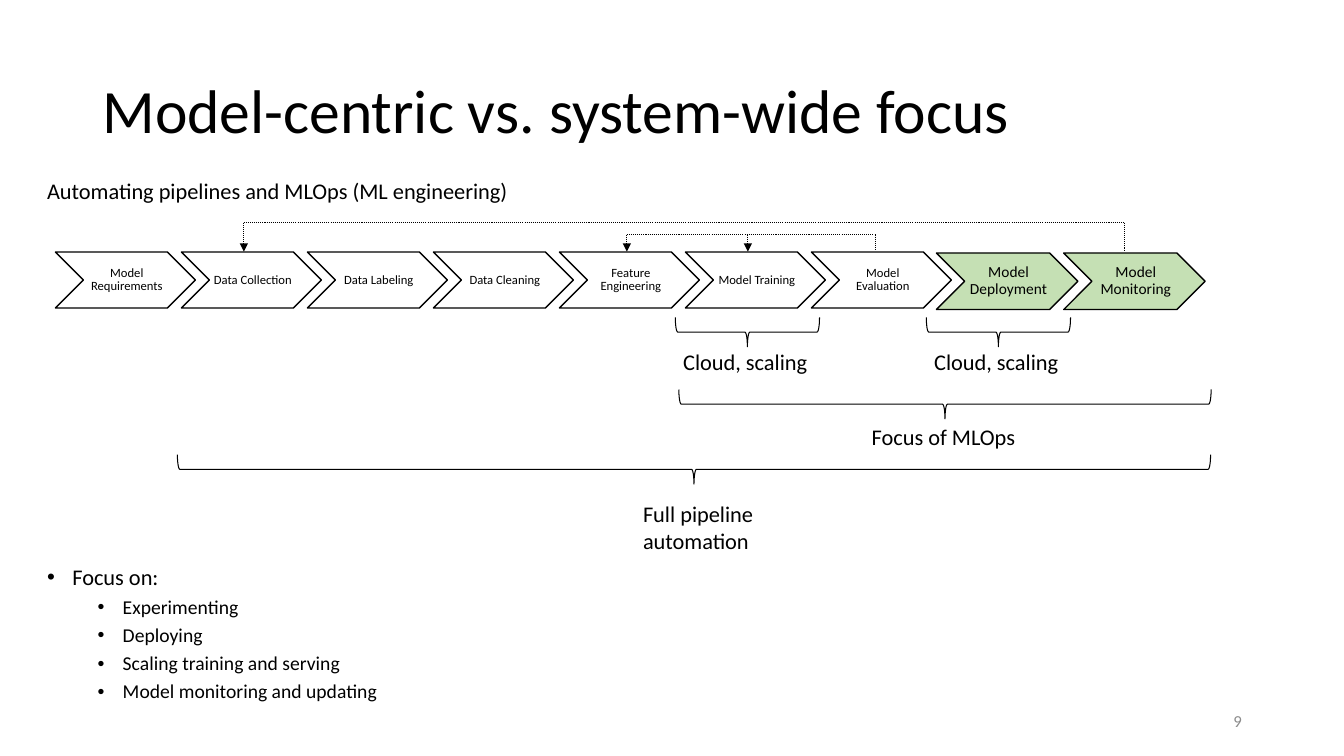
import pptx
import pptx.dml.color
import pptx.enum.dml
import pptx.enum.shapes
import pptx.enum.text
import pptx.oxml.ns
import pptx.util
from lxml import etree

Pt = pptx.util.Pt
RGBColor = pptx.dml.color.RGBColor
SHAPE = pptx.enum.shapes.MSO_SHAPE
ALIGN = pptx.enum.text.PP_ALIGN
ANCHOR = pptx.enum.text.MSO_ANCHOR

BLACK = RGBColor(0x00, 0x00, 0x00)
WHITE = RGBColor(0xFF, 0xFF, 0xFF)
GREEN = RGBColor(0xC5, 0xE0, 0xB4)
GRAY = RGBColor(0x8C, 0x8C, 0x8C)
FONT = "Calibri"

MODEL_STEPS = ["Model Requirements", "Data Collection", "Data Labeling", "Data Cleaning",
               "Feature Engineering", "Model Training", "Model Evaluation"]
SYSTEM_STEPS = ["Model Deployment", "Model Monitoring"]
FOCUS_POINTS = ["Experimenting", "Deploying", "Scaling training and serving",
                "Model monitoring and updating"]
BRACE_DEPTH = 21


def add_xml(parent, tag, **attributes):
    return etree.SubElement(parent, pptx.oxml.ns.qn(tag), attributes)


def format_paragraph(paragraph, size, color=BLACK, align=ALIGN.LEFT, spacing=1.0):
    paragraph.alignment = align
    paragraph.line_spacing = spacing
    for run in paragraph.runs:
        run.font.name = FONT
        run.font.size = Pt(size)
        run.font.color.rgb = color


def set_title(slide, text):
    title = slide.shapes.title
    title.left, title.top, title.width, title.height = Pt(66), Pt(28.8), Pt(828), Pt(104.4)
    title.text_frame.text = text
    title.text_frame.vertical_anchor = ANCHOR.MIDDLE
    format_paragraph(title.text_frame.paragraphs[0], 44, spacing=0.9)


def add_label(slide, text, left, top, width, height=26.6, size=16, color=BLACK, align=ALIGN.LEFT):
    label = slide.shapes.add_textbox(Pt(left), Pt(top), Pt(width), Pt(height))
    label.text_frame.word_wrap = True
    label.text_frame.text = text
    format_paragraph(label.text_frame.paragraphs[0], size, color, align)
    return label


def add_chevrons(slide, steps, left, top, pitch, width, height, fill, size):
    for index, step in enumerate(steps):
        chevron = slide.shapes.add_shape(SHAPE.CHEVRON, Pt(left + index * pitch), Pt(top),
                                         Pt(width), Pt(height))
        chevron.shadow.inherit = False
        chevron.fill.solid()
        chevron.fill.fore_color.rgb = fill
        chevron.line.color.rgb = BLACK
        chevron.line.width = Pt(1)
        frame = chevron.text_frame
        frame.word_wrap = True
        frame.vertical_anchor = ANCHOR.MIDDLE
        frame.margin_left = Pt(3)
        frame.margin_top = frame.margin_right = frame.margin_bottom = Pt(1)
        frame.text = step
        format_paragraph(frame.paragraphs[0], size, align=ALIGN.CENTER, spacing=0.9)


def add_brace(slide, center, middle, length):
    """Brace opening upwards: a left brace turned a quarter to the left."""
    brace = slide.shapes.add_shape(SHAPE.LEFT_BRACE, Pt(center - BRACE_DEPTH / 2),
                                   Pt(middle - length / 2), Pt(BRACE_DEPTH), Pt(length))
    brace.rotation = 270
    brace.shadow.inherit = False
    brace.fill.background()
    brace.line.color.rgb = BLACK
    brace.line.width = Pt(0.75)


def add_dotted_line(slide, start, end, arrow=False):
    connector = slide.shapes.add_connector(pptx.enum.shapes.MSO_CONNECTOR.STRAIGHT,
                                           Pt(start[0]), Pt(start[1]), Pt(end[0]), Pt(end[1]))
    connector.line.color.rgb = BLACK
    connector.line.width = Pt(0.75)
    connector.line.dash_style = pptx.enum.dml.MSO_LINE.ROUND_DOT
    if arrow:
        add_xml(connector.line._get_or_add_ln(), "a:tailEnd", type="triangle")
    add_xml(connector._element.spPr, "a:effectLst")


def add_feedback(slide, source, targets, height, bottom):
    """Line from the source step up and back, with an arrow down to each target step."""
    add_dotted_line(slide, (source, height), (source, bottom))
    add_dotted_line(slide, (min(targets), height), (source, height))
    for target in targets:
        add_dotted_line(slide, (target, height), (target, 179.8), arrow=True)


def add_focus_list(slide, heading, points):
    box = add_label(slide, heading, 26.6, 401, 400, 108)
    frame = box.text_frame
    for point in points:
        frame.add_paragraph().text = point
    for index, paragraph in enumerate(frame.paragraphs):
        properties = paragraph._p.get_or_add_pPr()
        properties.set("marL", str(Pt(54 if index else 18)))
        properties.set("indent", str(Pt(-18)))
        format_paragraph(paragraph, 14 if index else 16, spacing=0.9)
        if index:
            paragraph.level = 1
            paragraph.space_before = Pt(5)
        add_xml(properties, "a:buFont", typeface="Arial")
        add_xml(properties, "a:buChar", char="•")


def main():
    presentation = pptx.Presentation()
    presentation.slide_width, presentation.slide_height = Pt(960), Pt(540)
    slide = presentation.slides.add_slide(presentation.slide_layouts[5])

    # Heading
    set_title(slide, "Model-centric vs. system-wide focus")
    add_label(slide, "Automating pipelines and MLOps (ML engineering)", 26.6, 123.1, 352)

    # Feedback loops
    add_feedback(slide, 625.7, [447.8, 534.2], 167.6, 179.3)
    add_feedback(slide, 803.5, [174.2], 159.1, 178.6)

    # Scopes of automation
    for center in (533.9, 713.2):
        add_brace(slide, center, 237.2, 103)
        add_label(slide, "Cloud, scaling", center - 53, 244.8, 108)
    add_brace(slide, 675, 288.7, 380.2)
    add_label(slide, "Focus of MLOps", 615.6, 298.8, 122)
    add_brace(slide, 495.7, 335.2, 738)
    add_label(slide, "Full pipeline automation", 452.2, 353.5, 99.4, 46)

    # Pipeline
    add_chevrons(slide, SYSTEM_STEPS, 668.9, 180.7, 90.9, 101, 40.4, GREEN, 11)
    add_chevrons(slide, MODEL_STEPS, 39.6, 180, 90, 100, 40, WHITE, 9)

    # Focus list and page number
    add_focus_list(slide, "Focus on:", FOCUS_POINTS)
    number = add_label(slide, "9", 678.2, 500.5, 216, 28.8, 12, GRAY, ALIGN.RIGHT)
    number.text_frame.vertical_anchor = ANCHOR.MIDDLE

    presentation.save("out.pptx")


if __name__ == "__main__":
    main()
